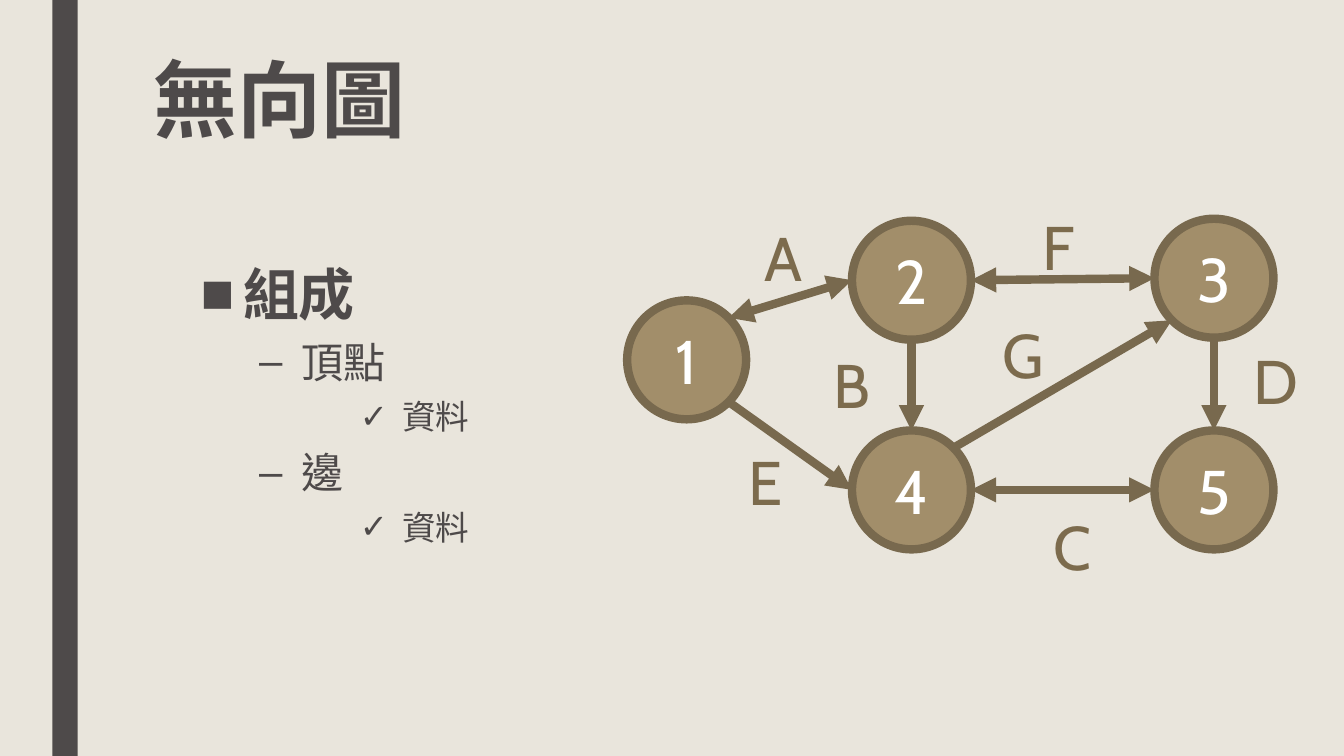
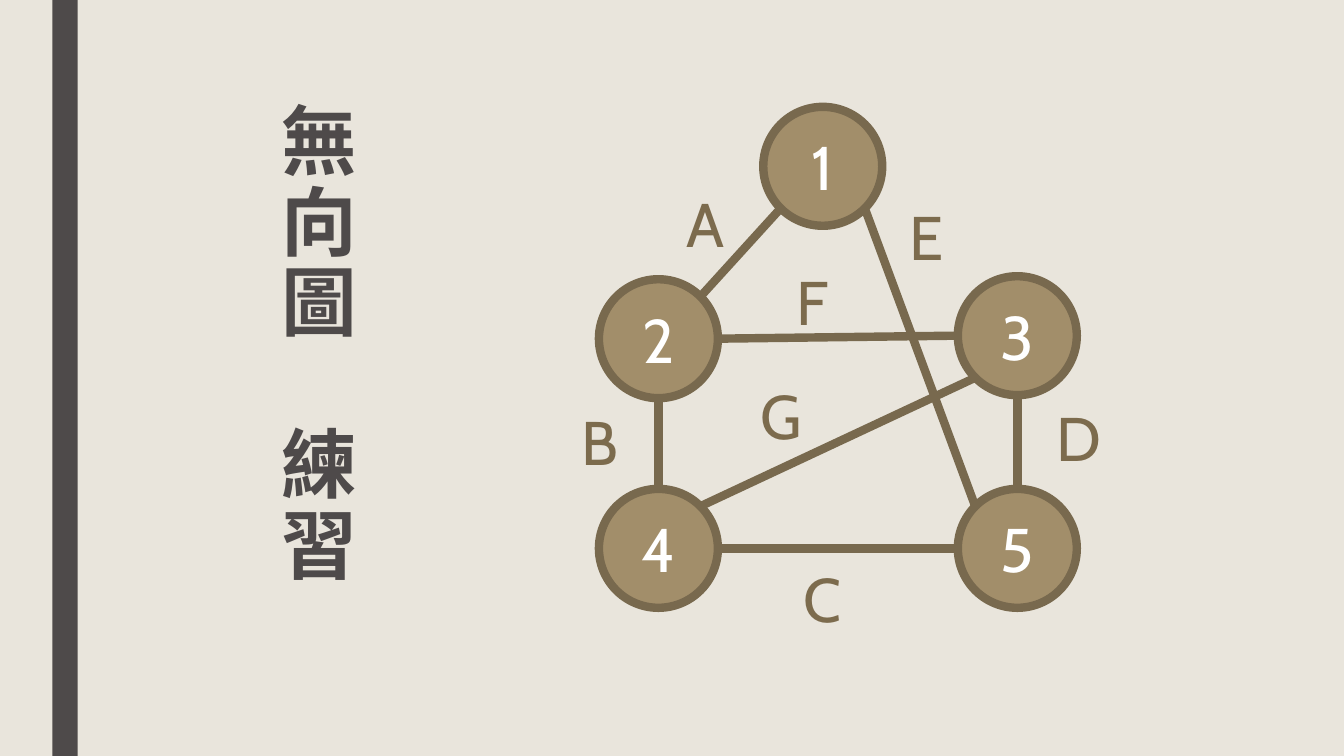
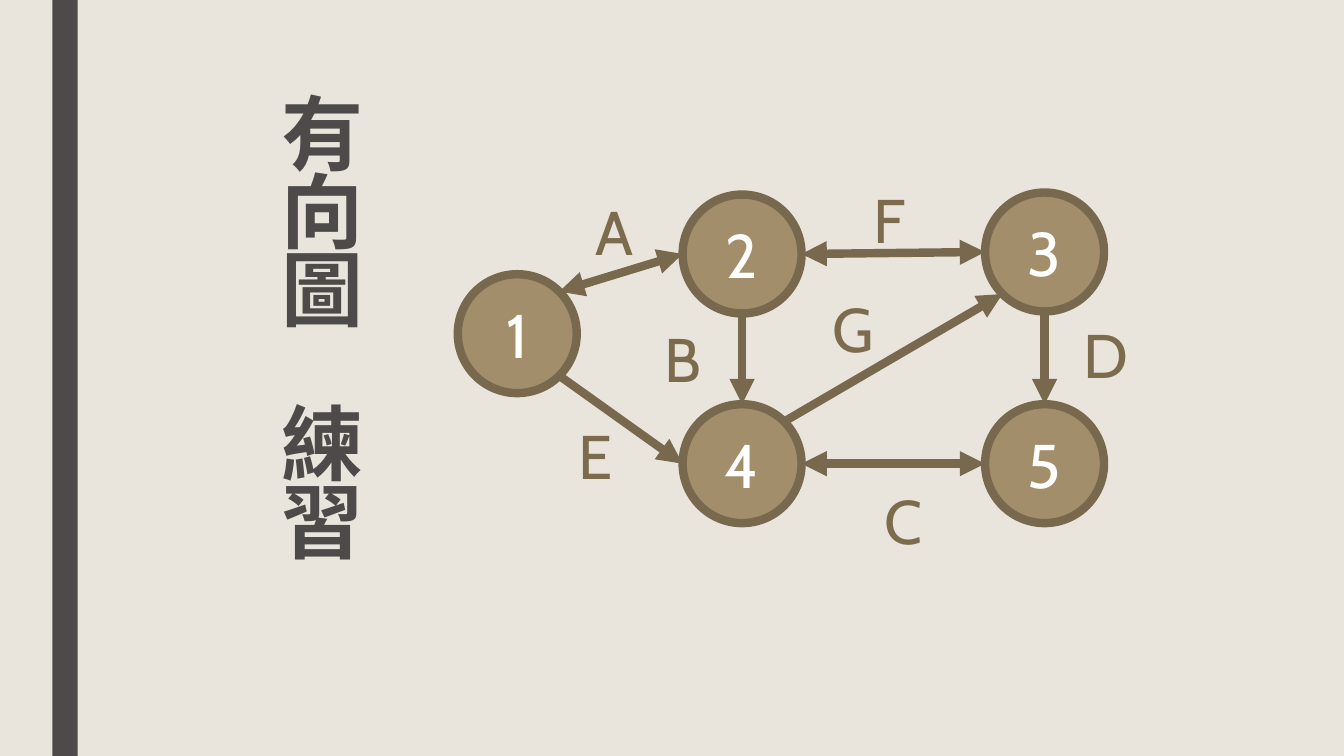
from math import cos, radians, sin

from pptx import Presentation
from pptx.dml.color import RGBColor
from pptx.enum.lang import MSO_LANGUAGE_ID
from pptx.enum.shapes import MSO_CONNECTOR, MSO_SHAPE
from pptx.enum.text import MSO_ANCHOR, MSO_AUTO_SIZE, PP_ALIGN
from pptx.oxml.ns import qn
from pptx.oxml.xmlchemy import OxmlElement
from pptx.util import Emu, Pt

PX = 9144  # EMU in one px, 100 px to the inch
SLIDE_W, SLIDE_H = 1333, 750

PAPER = RGBColor(0xE9, 0xE5, 0xDC)
INK = RGBColor(0x4E, 0x4A, 0x4A)
NODE_FILL = RGBColor(0xA2, 0x8E, 0x6A)
EDGE = RGBColor(0x78, 0x69, 0x4E)
LABEL = RGBColor(0x7C, 0x6B, 0x4D)
WHITE = RGBColor(0xFF, 0xFF, 0xFF)

OVAL, RECT = MSO_SHAPE.OVAL, MSO_SHAPE.RECTANGLE
STRAIGHT = MSO_CONNECTOR.STRAIGHT
LEFT, CENTER = PP_ALIGN.LEFT, PP_ALIGN.CENTER
TOP, MIDDLE = MSO_ANCHOR.TOP, MSO_ANCHOR.MIDDLE
NO_FIT, GROW = MSO_AUTO_SIZE.NONE, MSO_AUTO_SIZE.SHAPE_TO_FIT_TEXT
CHINESE = MSO_LANGUAGE_ID.TRADITIONAL_CHINESE

SANS, SERIF = "Cabin", "Cambria"
NODE_SIZE = 118
LABEL_W, LABEL_H = 60, 84
EDGE_WIDTH = Pt(6)
GRAPH_TEXT = 44

# Points on a node's rim, as angles clockwise from the right.
RIGHT_RIM, LOWER_RIGHT, BOTTOM_RIM, LOWER_LEFT = 0, 45, 90, 135
LEFT_RIM, UPPER_LEFT, TOP_RIM, UPPER_RIGHT = 180, 225, 270, 315

NO_ARROW = ()
ONE_WAY = ("a:tailEnd",)
TWO_WAY = ("a:headEnd", "a:tailEnd")

# Positions are relative to the graph's box; labels are given by their centres.
DIRECTED_GRAPH = {
    "nodes": {"1": (0, 81), "2": (223, 2), "3": (523, 0),
              "4": (223, 210), "5": (523, 210)},
    "edges": [
        ("A", (155, 38), "1", UPPER_RIGHT, "2", LEFT_RIM, TWO_WAY),
        ("B", (223, 164), "2", BOTTOM_RIM, "4", TOP_RIM, ONE_WAY),
        ("C", (442, 325), "4", RIGHT_RIM, "5", LEFT_RIM, TWO_WAY),
        ("D", (641, 160), "3", BOTTOM_RIM, "5", TOP_RIM, ONE_WAY),
        ("E", (137, 261), "1", LOWER_RIGHT, "4", LEFT_RIM, ONE_WAY),
        ("F", (428, 27), "2", RIGHT_RIM, "3", LEFT_RIM, TWO_WAY),
        ("G", (392, 135), "4", UPPER_RIGHT, "3", LOWER_LEFT, ONE_WAY),
    ],
}
UNDIRECTED_GRAPH = {
    "nodes": {"1": (163, 0), "2": (0, 171), "3": (356, 168),
              "4": (0, 379), "5": (356, 379)},
    "edges": [
        ("A", (106, 116), "1", LOWER_LEFT, "2", UPPER_RIGHT, NO_ARROW),
        ("B", (1, 332), "2", BOTTOM_RIM, "4", TOP_RIM, NO_ARROW),
        ("C", (222, 488), "4", RIGHT_RIM, "5", LEFT_RIM, NO_ARROW),
        ("D", (474, 328), "3", BOTTOM_RIM, "5", TOP_RIM, NO_ARROW),
        ("E", (325, 128), "1", LOWER_RIGHT, "5", UPPER_LEFT, NO_ARROW),
        ("F", (212, 193), "2", RIGHT_RIM, "3", LEFT_RIM, NO_ARROW),
        ("G", (180, 306), "4", UPPER_RIGHT, "3", LOWER_LEFT, NO_ARROW),
    ],
}

# Outline level: bullet, indent, font, size, bold, space before
OUTLINE_STYLES = {
    0: ("■", 42, SANS, 40, True, 10),
    1: ("–", 100, SERIF, 30, False, 5),
    3: ("✓", 200, SANS, 24, False, 5),
}
HANGING = 42
OUTLINE = [(0, "組成"), (1, "頂點"), (3, "資料"), (1, "邊"), (3, "資料")]


def emu(*lengths):
    return [Emu(round(length * PX)) for length in lengths]


def move(shape, box):
    shape.left, shape.top, shape.width, shape.height = emu(*box)


def add_run(paragraph, text, size, color, font=SANS, bold=False):
    run = paragraph.add_run()
    run.text = text
    run.font.name = font
    run.font.size = Pt(size)
    run.font.bold = bold
    run.font.color.rgb = color
    return run


def add_chinese(paragraph, text, size, font=SANS, bold=True):
    add_run(paragraph, text, size, INK, font, bold).font.language_id = CHINESE


def add_title(slide, box, words, size, spacing, vertical=False):
    """Fill the title; a vertical one has one character a line, a line between words."""
    title = slide.shapes.title
    move(title, box)
    frame = title.text_frame
    frame.auto_size = NO_FIT
    frame.word_wrap = True
    frame.vertical_anchor = TOP
    for number, word in enumerate(words):
        paragraph = frame.add_paragraph() if number else frame.paragraphs[0]
        paragraph.alignment = LEFT
        paragraph.line_spacing = spacing
        paragraph.space_before = Pt(round(size * spacing * 1.2) if number else 0)
        for place, line in enumerate(word if vertical else [word]):
            if place:
                paragraph.add_line_break()
            add_chinese(paragraph, line, size)


def add_outline(slide, box):
    body = slide.placeholders[1]
    move(body, box)
    frame = body.text_frame
    frame.auto_size = NO_FIT
    frame.vertical_anchor = TOP
    for number, (level, text) in enumerate(OUTLINE):
        mark, indent, font, size, bold, before = OUTLINE_STYLES[level]
        paragraph = frame.add_paragraph() if number else frame.paragraphs[0]
        paragraph.level = level
        paragraph.line_spacing = 1.0
        paragraph.space_before = Pt(before)
        paragraph.space_after = Pt(2)
        add_chinese(paragraph, text, size, font, bold)
        properties = paragraph._p.get_or_add_pPr()
        properties.set("marL", str(indent * PX))
        properties.set("indent", str(-HANGING * PX))
        bullet = OxmlElement("a:buChar")
        bullet.set("char", mark)
        properties.append(bullet)


def add_node(slide, left, top, number):
    node = slide.shapes.add_shape(OVAL, *emu(left, top, NODE_SIZE, NODE_SIZE))
    node.shadow.inherit = False
    node.fill.solid()
    node.fill.fore_color.rgb = NODE_FILL
    node.line.color.rgb = EDGE
    node.line.width = EDGE_WIDTH
    node.text_frame.vertical_anchor = MIDDLE
    paragraph = node.text_frame.paragraphs[0]
    paragraph.alignment = CENTER
    add_run(paragraph, number, GRAPH_TEXT, WHITE)


def rim_point(left, top, angle):
    radius = NODE_SIZE / 2
    turn = radians(angle)
    return left + radius * (1 + cos(turn)), top + radius * (1 + sin(turn))


def add_edge(slide, start, end, arrows):
    edge = slide.shapes.add_connector(STRAIGHT, *emu(*start, *end))
    edge.line.color.rgb = EDGE
    edge.line.width = EDGE_WIDTH
    properties = edge.element.spPr
    for tag in arrows:
        arrow = OxmlElement(tag)
        arrow.set("type", "triangle")
        properties.find(qn("a:ln")).append(arrow)
    properties.append(OxmlElement("a:effectLst"))


def add_label(slide, center_x, center_y, letter):
    box = (center_x - LABEL_W / 2, center_y - LABEL_H / 2, LABEL_W, LABEL_H)
    label = slide.shapes.add_textbox(*emu(*box))
    label.text_frame.word_wrap = False
    label.text_frame.auto_size = GROW
    paragraph = label.text_frame.paragraphs[0]
    paragraph.alignment = CENTER
    add_run(paragraph, letter, GRAPH_TEXT, LABEL)


def add_graph(slide, left, top, graph):
    nodes = {number: (left + x, top + y) for number, (x, y) in graph["nodes"].items()}
    for number, corner in nodes.items():
        add_node(slide, *corner, number)
    for letter, (x, y), source, leave, target, arrive, arrows in graph["edges"]:
        add_edge(slide, rim_point(*nodes[source], leave),
                 rim_point(*nodes[target], arrive), arrows)
        add_label(slide, left + x, top + y, letter)


def style_master(prs, slide):
    """Give the master its paper and side band; the band is made on slide, then moved."""
    paper = prs.slide_master.background.fill
    paper.solid()
    paper.fore_color.rgb = PAPER
    band = slide.shapes.add_shape(RECT, *emu(52, 0, 25, SLIDE_H))
    band.shadow.inherit = False
    band.fill.solid()
    band.fill.fore_color.rgb = INK
    band.line.fill.background()
    band.element.nvSpPr.cNvPr.set("id", "20")
    prs.slide_master.shapes.element.insert(2, band.element)


def build_intro(slide):
    add_title(slide, (142, 54, 1050, 162), ["無向圖"], 60, 0.89)
    add_graph(slide, 622, 217, DIRECTED_GRAPH)
    add_outline(slide, (189, 252, 428, 384))


def build_undirected_practice(slide):
    add_title(slide, (269, 99, 118, 510), ["無向圖", "練習"], 54, 0.89, vertical=True)
    add_graph(slide, 594, 106, UNDIRECTED_GRAPH)


def build_directed_practice(slide):
    add_title(slide, (269, 97, 118, 510), ["有向圖", "練習"], 58.5, 0.79, vertical=True)
    add_graph(slide, 454, 191, DIRECTED_GRAPH)


def main():
    prs = Presentation()
    prs.slide_width, prs.slide_height = emu(SLIDE_W, SLIDE_H)
    title_and_body, title_only = prs.slide_layouts[1], prs.slide_layouts[5]
    intro = prs.slides.add_slide(title_and_body)
    style_master(prs, intro)
    build_intro(intro)
    build_undirected_practice(prs.slides.add_slide(title_only))
    build_directed_practice(prs.slides.add_slide(title_only))
    prs.save("out.pptx")


if __name__ == "__main__":
    main()
